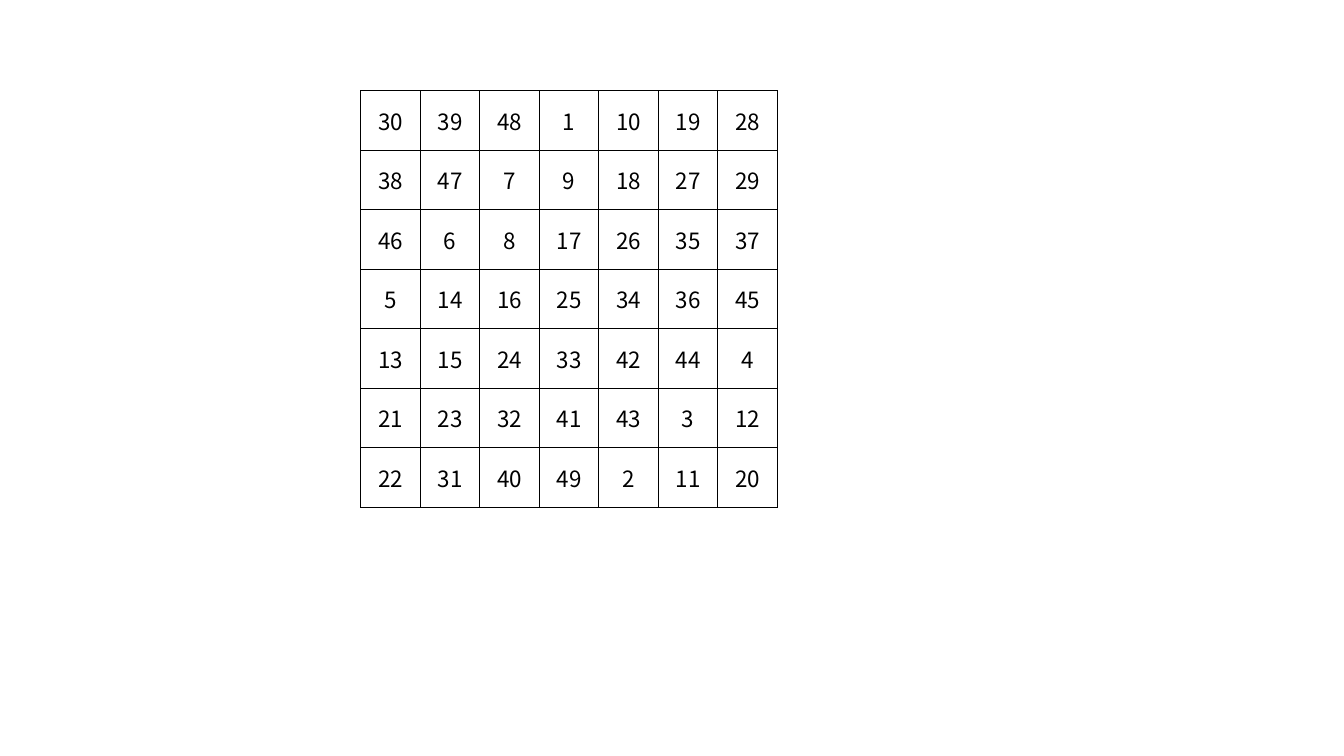
from typing import NamedTuple

from lxml import etree
from pptx import Presentation
from pptx.dml.color import RGBColor
from pptx.enum.text import MSO_ANCHOR, PP_ALIGN
from pptx.oxml.ns import qn
from pptx.table import Table, _Cell
from pptx.util import Pt

BLACK = RGBColor(0x00, 0x00, 0x00)
CENTER = PP_ALIGN.CENTER
MIDDLE = MSO_ANCHOR.MIDDLE
FONT = "Noto Sans CJK SC"

ORDER = 7
SQUARE_LEFT, SQUARE_TOP = 257.76, 64.8
CELL_SIZE = 42.5
BORDER_WIDTH = 1
BLANK_LAYOUT = 6


class Entry(NamedTuple):
    row: int
    column: int
    number: int


def magic_square(order: int) -> list[Entry]:
    """Siamese method: go up and right, and one down after each full run."""
    entries = []
    for index in range(order * order):
        run, step = divmod(index, order)
        row = (2 * run - step) % order
        column = (order // 2 + step - run) % order
        entries.append(Entry(row, column, index + 1))
    return entries


def write_text(cell: _Cell, text: str, *, size: float = 16,
               color: RGBColor = BLACK, font: str = FONT) -> None:
    cell.vertical_anchor = MIDDLE
    cell.margin_left = cell.margin_right = Pt(10)
    cell.margin_top = cell.margin_bottom = Pt(5)
    paragraph = cell.text_frame.paragraphs[0]
    paragraph.alignment = CENTER
    run = paragraph.add_run()
    run.text = text
    run.font.size = Pt(size)
    run.font.name = font
    run.font.color.rgb = color


def add_borders(cell: _Cell, color: RGBColor, width: float) -> None:
    properties = cell._tc.get_or_add_tcPr()
    for position, side in enumerate(("lnL", "lnR", "lnT", "lnB")):
        border = etree.Element(qn(f"a:{side}"), w=str(Pt(width)))
        fill = etree.SubElement(border, qn("a:solidFill"))
        etree.SubElement(fill, qn("a:srgbClr"), val=str(color))
        # Borders come before the cell fill
        properties.insert(position, border)


def draw_entry(square: Table, entry: Entry) -> None:
    cell = square.cell(entry.row, entry.column)
    cell.fill.background()
    write_text(cell, str(entry.number))
    add_borders(cell, BLACK, BORDER_WIDTH)


def main() -> None:
    presentation = Presentation()
    presentation.slide_width = Pt(960)
    presentation.slide_height = Pt(540)
    slide = presentation.slides.add_slide(presentation.slide_layouts[BLANK_LAYOUT])

    # Empty grid
    side = Pt(ORDER * CELL_SIZE)
    square = slide.shapes.add_table(
        ORDER, ORDER, Pt(SQUARE_LEFT), Pt(SQUARE_TOP), side, side).table
    square.first_row = False
    square.horz_banding = False
    for row in square.rows:
        row.height = Pt(CELL_SIZE)
    for column in square.columns:
        column.width = Pt(CELL_SIZE)

    # Numbers
    for entry in magic_square(ORDER):
        draw_entry(square, entry)

    presentation.save("out.pptx")


if __name__ == "__main__":
    main()
